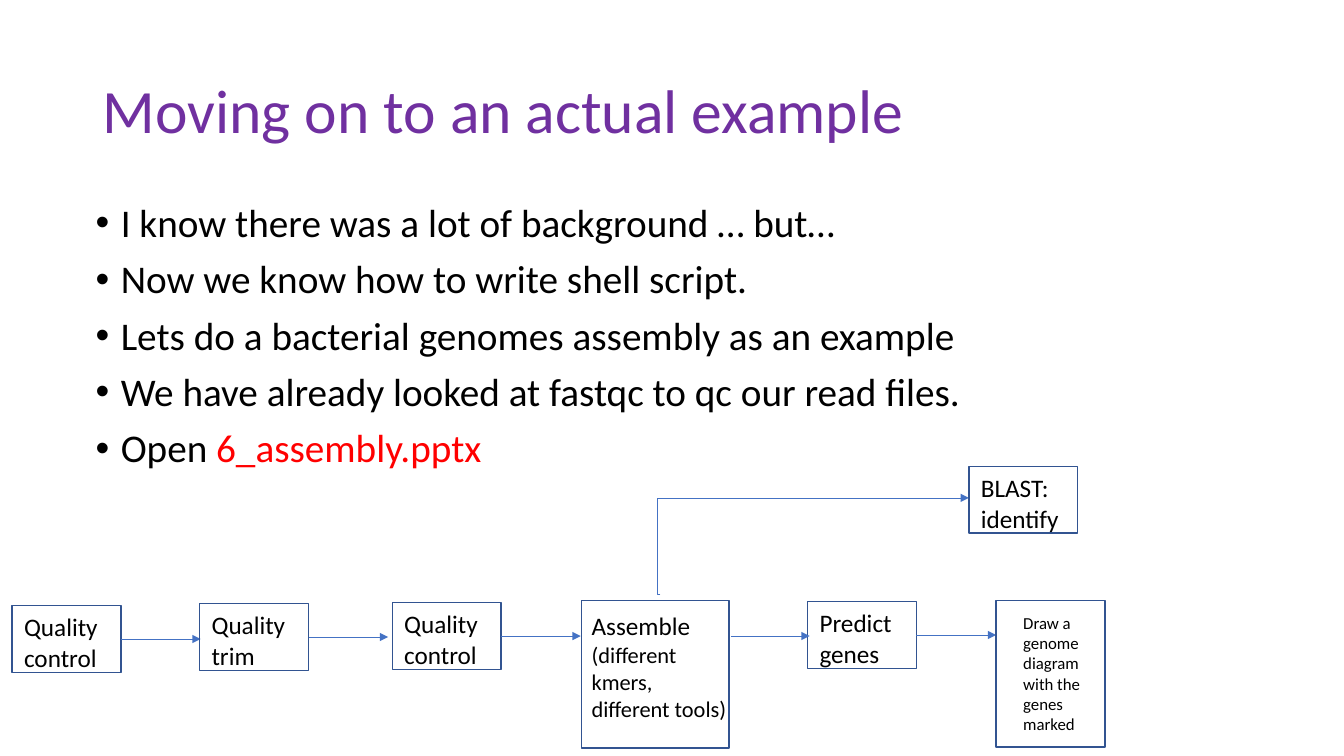
from lxml import etree
from pptx import Presentation
from pptx.dml.color import RGBColor
from pptx.enum import shapes, text
from pptx.oxml.ns import qn
from pptx.util import Inches, Pt

BLACK, PURPLE, RED = "000000", "7030A0", "FF0000"
OUTLINE, ARROW = "325491", "4472C4"
STEP_WIDTH, STEP_HEIGHT = 1.08, 0.66


def color(value):
    return RGBColor.from_string(value)


def add_xml(parent, tag, **values):
    child = etree.SubElement(parent, qn(tag))
    for name, value in values.items():
        child.set(name, value)
    return child


class SlideBuilder:
    font = "Calibri"

    def __init__(self, slide):
        self.slide = slide

    def add_run(self, paragraph, content, size, hue=BLACK):
        run = paragraph.add_run()
        run.text = content
        run.font.color.rgb = color(hue)
        for name, value in {"name": self.font, "size": Pt(size)}.items():
            setattr(run.font, name, value)

    def format_frame(self, frame, anchor=text.MSO_ANCHOR.TOP):
        values = {"word_wrap": True, "auto_size": text.MSO_AUTO_SIZE.NONE,
                  "vertical_anchor": anchor}
        for name, value in values.items():
            setattr(frame, name, value)

    def title(self, content, left, top, width, height):
        shape = self.slide.shapes.title
        place = {"left": left, "top": top, "width": width, "height": height}
        for name, value in place.items():
            setattr(shape, name, Inches(value))
        self.format_frame(shape.text_frame, text.MSO_ANCHOR.MIDDLE)
        paragraph = shape.text_frame.paragraphs[0]
        paragraph.alignment = text.PP_ALIGN.LEFT
        paragraph.line_spacing = 0.9
        self.add_run(paragraph, content, 44, PURPLE)

    def label(self, runs, left, top, width, height):
        box = self.slide.shapes.add_textbox(*map(Inches, (left, top, width, height)))
        self.format_frame(box.text_frame)
        for run in runs:
            self.add_run(box.text_frame.paragraphs[0], *run)

    def bullets(self, items, left, top, width, height):
        box = self.slide.shapes.add_textbox(*map(Inches, (left, top, width, height)))
        frame = box.text_frame
        self.format_frame(frame)
        for index, runs in enumerate(items):
            paragraph = frame.add_paragraph() if index else frame.paragraphs[0]
            paragraph.line_spacing = 0.9
            paragraph.space_before = Pt(10)
            properties = paragraph._p.get_or_add_pPr()
            properties.set("marL", str(Inches(0.25)))
            properties.set("indent", str(Inches(-0.25)))
            add_xml(properties, "a:buFont", typeface="Arial")
            add_xml(properties, "a:buChar", char="•")
            for run in runs:
                self.add_run(paragraph, *run)

    def box(self, left, top, width, height):
        shape = self.slide.shapes.add_shape(
            shapes.MSO_SHAPE.RECTANGLE, *map(Inches, (left, top, width, height)))
        shape.shadow.inherit = False
        shape.fill.background()
        shape.line.color.rgb = color(OUTLINE)
        shape.line.width = Pt(1)

    def step(self, content, left, top):
        self.box(left, top, STEP_WIDTH, STEP_HEIGHT)
        self.label([(content, 18)], left + 0.02, top + 0.01, 1.01, 0.71)

    def arrow(self, start, end, bend=None):
        kind = shapes.MSO_CONNECTOR.STRAIGHT if bend is None else shapes.MSO_CONNECTOR.ELBOW
        connector = self.slide.shapes.add_connector(kind, *map(Inches, start + end))
        connector.line.color.rgb = color(ARROW)
        connector.line.width = Pt(0.5)
        properties = connector._element.spPr
        add_xml(connector.line._get_or_add_ln(), "a:tailEnd", type="triangle")
        add_xml(properties, "a:effectLst")
        if bend is not None:
            guides = properties.find(".//" + qn("a:avLst"))
            add_xml(guides, "a:gd", name="adj1", fmla=f"val {round(bend * 100000)}")


presentation = Presentation()
presentation.slide_width, presentation.slide_height = Inches(13.33), Inches(7.5)
builder = SlideBuilder(presentation.slides.add_slide(presentation.slide_layouts[5]))

# Title and bullet list
builder.title("Moving on to an actual example", 0.92, 0.4, 11.5, 1.45)
builder.bullets([
    [("I know there was a lot of background … but…", 28)],
    [("Now we know how to write shell script.", 28)],
    [("Lets do a bacterial genomes assembly as an example", 28)],
    [("We have already looked at fastqc to qc our read files.", 28)],
    [("Open ", 28), ("6_assembly.pptx", 28, RED)],
], 0.85, 1.97, 11.5, 4.76)

# Two-line steps, each followed by an arrow
for content, left, top in [("Quality control", 0.12, 6.01), ("Quality trim", 1.98, 5.99),
                           ("Quality control", 3.89, 5.98), ("Predict genes", 8.01, 5.97)]:
    builder.step(content, left, top)
    right, middle = left + STEP_WIDTH, top + STEP_HEIGHT / 2
    builder.arrow((right, middle), (right + 0.79, middle))

# Assembly step
builder.box(5.77, 5.96, 1.46, 1.46)
builder.label([("Assemble ", 18), ("(different kmers, different tools)", 16)],
              5.77, 6.01, 1.56, 1.21)
builder.arrow((7.25, 6.31), (8.03, 6.31))

# Genome diagram step
builder.box(9.88, 5.96, STEP_WIDTH, 1.45)
builder.label([("Draw a genome diagram with the genes marked", 12)], 10.05, 6.03, 1.01, 1.31)

# Branch to identification
builder.arrow((6.55, 5.9), (9.61, 4.94), bend=-0.01)
builder.step("BLAST: identify", 9.61, 4.63)

presentation.save("out.pptx")
